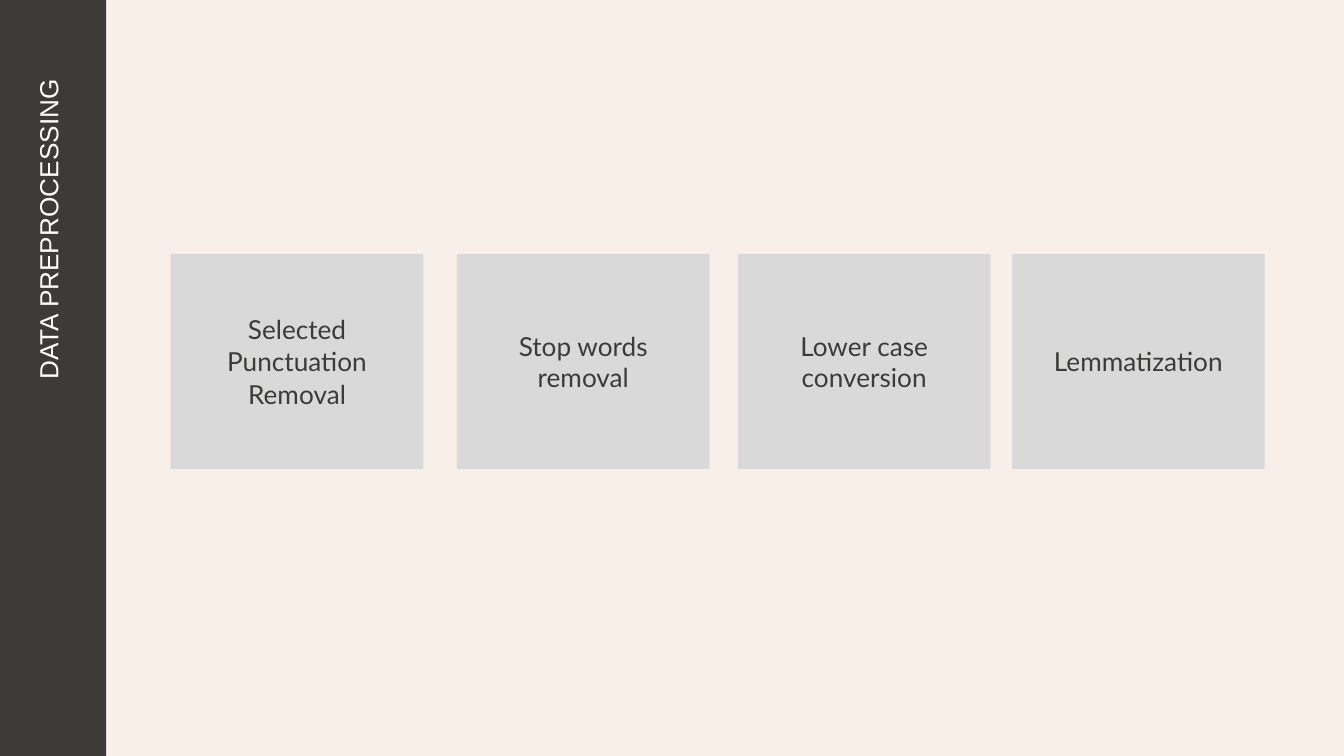
import pptx
import pptx.dml.color
import pptx.enum.shapes
import pptx.enum.text
import pptx.util

SLIDE_WIDTH = 10
SLIDE_HEIGHT = SLIDE_WIDTH * 9 / 16
CREAM, CHARCOAL, GREY, WHITE = "F8EFE8", "3C3B39", "D9D9D9", "FFFFFF"

HEADING = "DATA PREPROCESSING"
# Left edge of each step's card, and its paragraphs
STEPS = [
    (1.27, ["Selected Punctuation", "Removal"]),
    (3.40, ["Stop words removal"]),
    (5.49, ["Lower case conversion"]),
    (7.53, ["Lemmatization"]),
]
CARD_TOP, CARD_WIDTH, CARD_HEIGHT = 1.89, 1.88, 1.6

ALIGN = pptx.enum.text.PP_ALIGN
ANCHOR = pptx.enum.text.MSO_ANCHOR


def paint(fill, color):
    fill.solid()
    fill.fore_color.rgb = pptx.dml.color.RGBColor.from_string(color)


def inches(*lengths):
    return [pptx.util.Inches(length) for length in lengths]


def add_block(slide, left, top, width, height, color):
    block = slide.shapes.add_shape(
        pptx.enum.shapes.MSO_SHAPE.RECTANGLE, *inches(left, top, width, height))
    paint(block.fill, color)
    block.line.fill.background()
    block.shadow.inherit = False
    return block


def write(shape, paragraphs, font, color, align, anchor, size=14, gap=0):
    """Fill a shape with paragraphs; gap is the space between and below them in points."""
    frame = shape.text_frame
    frame.word_wrap = True
    frame.auto_size = pptx.enum.text.MSO_AUTO_SIZE.NONE
    frame.vertical_anchor = anchor
    frame.margin_left = frame.margin_right = pptx.util.Inches(0.1)
    frame.margin_top = frame.margin_bottom = pptx.util.Inches(0.1)
    last = len(paragraphs) - 1
    for index, text in enumerate(paragraphs):
        paragraph = frame.add_paragraph() if index else frame.paragraphs[0]
        paragraph.alignment = align
        paragraph.space_before = pptx.util.Pt(gap if index else 0)
        paragraph.space_after = pptx.util.Pt(gap if index == last else 0)
        run = paragraph.add_run()
        run.text = text
        run.font.name = font
        run.font.size = pptx.util.Pt(size)
        paint(run.font.fill, color)


def main():
    deck = pptx.Presentation()
    deck.slide_width, deck.slide_height = inches(SLIDE_WIDTH, SLIDE_HEIGHT)
    slide = deck.slides.add_slide(deck.slide_layouts.get_by_name("Title Only"))
    paint(slide.background.fill, CREAM)

    sidebar = add_block(slide, -0.01, -0.01, 0.8, 5.68, CHARCOAL)
    title = slide.shapes.title
    title.left, title.top, title.width, title.height = inches(-1.58, 2.21, 4.02, 0.58)
    title.rotation = 270
    write(title, [HEADING], font="Arial", color=WHITE,
          align=ALIGN.RIGHT, anchor=ANCHOR.TOP)
    # The title must lie in front of the sidebar
    sidebar.element.addnext(title.element)

    for left, paragraphs in STEPS:
        card = add_block(slide, left, CARD_TOP, CARD_WIDTH, CARD_HEIGHT, GREY)
        write(card, paragraphs, font="Lato", color=CHARCOAL,
              align=ALIGN.CENTER, anchor=ANCHOR.MIDDLE, gap=0.8)

    deck.save("out.pptx")


if __name__ == "__main__":
    main()
